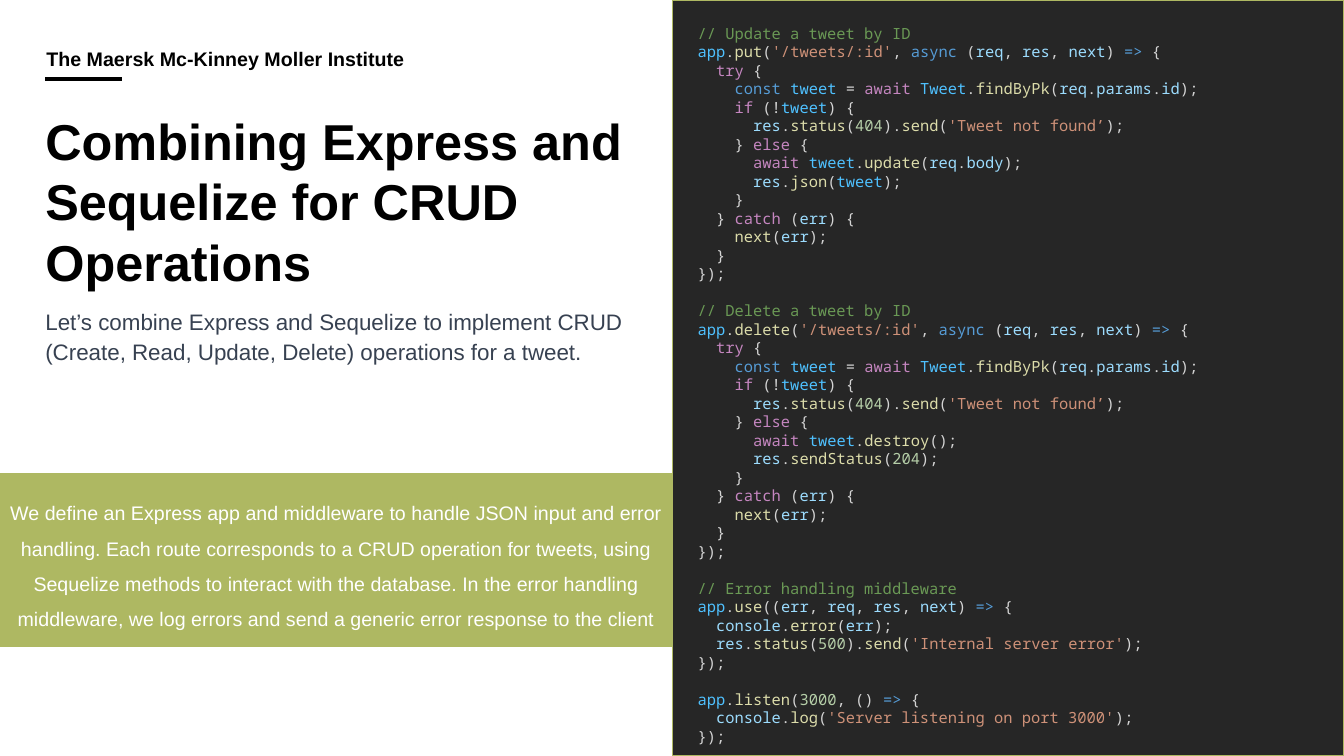
from itertools import groupby

from lxml.etree import SubElement
from pptx import Presentation
from pptx.dml.color import RGBColor
from pptx.enum.shapes import MSO_CONNECTOR, MSO_SHAPE
from pptx.enum.text import MSO_ANCHOR, PP_ALIGN
from pptx.oxml.ns import qn
from pptx.util import Inches, Pt

BLACK, WHITE, SLATE = "000000", "FFFFFF", "374151"
OLIVE, CHARCOAL = "AEB862", "262626"
SANS, MONO = "Arial", "Noto Sans Mono"
LEADING = 1.2

COMMENT, STRING, NUMBER, PLAIN = "6A9955", "CE9178", "B5CEA8", "D4D4D4"
CALL, VARIABLE = "DCDCAA", "9CDCFE"
WORD_COLOURS = {
    **dict.fromkeys(["async", "const", "=>"], "569CD6"),
    **dict.fromkeys(["try", "if", "else", "await", "catch"], "C586C0"),
    **dict.fromkeys(["app", "tweet", "Tweet"], "4FC1FF"),
}


def route_code(comment, verb, actions):
    return [
        f"// {comment}",
        f"app.{verb}('/tweets/:id', async (req, res, next) => {{",
        "  try {",
        "    const tweet = await Tweet.findByPk(req.params.id);",
        "    if (!tweet) {",
        "      res.status(404).send('Tweet not found’);",
        "    } else {",
        *[f"      {action}" for action in actions],
        "    }",
        "  } catch (err) {",
        "    next(err);",
        "  }",
        "});",
    ]


CODE_SECTIONS = [
    route_code("Update a tweet by ID", "put",
               ["await tweet.update(req.body);", "res.json(tweet);"]),
    route_code("Delete a tweet by ID", "delete",
               ["await tweet.destroy();", "res.sendStatus(204);"]),
    [
        "// Error handling middleware",
        "app.use((err, req, res, next) => {",
        "  console.error(err);",
        "  res.status(500).send('Internal server error');",
        "});",
    ],
    [
        "app.listen(3000, () => {",
        "  console.log('Server listening on port 3000');",
        "});",
    ],
]


def colour(hex_code):
    return RGBColor.from_string(hex_code)


def apply_format(target, **values):
    for name, value in values.items():
        setattr(target, name, value)


def add_run(paragraph, text, hex_code, **font_values):
    run = paragraph.add_run()
    run.text = text
    apply_format(run.font, **font_values)
    run.font.color.rgb = colour(hex_code)


def add_box(slide, left, top, width, height, margins=(0, 0, 0, 0), **frame_values):
    """Add a wrapping text box and return its frame; margins run left, top, right, bottom."""
    frame = slide.shapes.add_textbox(
        Inches(left), Inches(top), Inches(width), Inches(height)).text_frame
    set_frame(frame, margins, **frame_values)
    return frame


def set_frame(frame, margins, **frame_values):
    sides = ("margin_left", "margin_top", "margin_right", "margin_bottom")
    apply_format(frame, word_wrap=True, **dict(zip(sides, map(Inches, margins))),
                 **frame_values)


def add_panel(slide, left, top, width, height, fill):
    panel = slide.shapes.add_shape(
        MSO_SHAPE.RECTANGLE, Inches(left), Inches(top), Inches(width), Inches(height))
    panel.shadow.inherit = False
    panel.fill.solid()
    panel.fill.fore_color.rgb = colour(fill)
    panel.line.color.rgb = colour(OLIVE)
    panel.line.width = Pt(1)
    return panel


def word_colour(word, following):
    if word.isdigit():
        return NUMBER
    if word in WORD_COLOURS:
        return WORD_COLOURS[word]
    if not word.isalnum():
        return PLAIN
    return CALL if following.startswith("(") else VARIABLE


def colour_words(code):
    """Yield (text, colour) for code that holds no string literal."""
    tokens = ["".join(group) for _, group in
              groupby(code, key=lambda c: "=" if c in "=>" else c.isalnum())]
    for token, following in zip(tokens, tokens[1:] + [""]):
        yield token, word_colour(token, following)


def highlight(line):
    """Return the (text, colour) runs of one line of code."""
    if line.startswith("//"):
        return [(line, COMMENT)]
    start = line.find("'")
    if start < 0:
        pieces = list(colour_words(line))
    else:
        end = max(line.rfind("'"), line.rfind("’")) + 1
        pieces = [*colour_words(line[:start]), (line[start:end], STRING),
                  *colour_words(line[end:])]
    return [("".join(text for text, _ in group), hex_code)
            for hex_code, group in groupby(pieces, key=lambda piece: piece[1])]


def build_header(slide, left, top, width):
    frame = add_box(slide, left, top, width, 0.31, (0.01, 0, 0, 0.1),
                    vertical_anchor=MSO_ANCHOR.BOTTOM)
    institute = frame.paragraphs[0]
    institute.line_spacing = 0.9
    add_run(institute, "The Maersk Mc-Kinney Moller Institute", BLACK,
            name=SANS, size=Pt(14), bold=True)

    rule_y = Inches(top + 0.29)
    rule = slide.shapes.add_connector(
        MSO_CONNECTOR.STRAIGHT, Inches(left), rule_y, Inches(left + 0.76), rule_y)
    rule.line.color.rgb = colour(BLACK)
    rule.line.width = Pt(3)
    SubElement(rule._element.spPr, qn("a:effectLst"))


def build_introduction(slide, left, top, width):
    title = add_box(slide, left, top, width, 1.8).paragraphs[0]
    title.line_spacing = Pt(36 * LEADING)
    add_run(title, "Combining Express and Sequelize for CRUD Operations", BLACK,
            name=SANS, size=Pt(36), bold=True)

    summary = add_box(slide, left, top + 1.94, width - 0.16, 0.8).paragraphs[0]
    summary.line_spacing = Pt(16 * LEADING * 1.1)
    add_run(summary, "Let’s combine Express and Sequelize to implement CRUD "
            "(Create, Read, Update, Delete) operations for a tweet.", SLATE,
            name=SANS, size=Pt(16))


def build_explanation(slide, left, top, width, height):
    band = add_panel(slide, left, top, width, height, OLIVE)
    set_frame(band.text_frame, (0.08,) * 4, vertical_anchor=MSO_ANCHOR.MIDDLE)
    explanation = band.text_frame.paragraphs[0]
    apply_format(explanation, alignment=PP_ALIGN.CENTER,
                 line_spacing=Pt(14 * LEADING * 1.5))
    add_run(explanation, "We define an Express app and middleware to handle JSON input "
            "and error handling. Each route corresponds to a CRUD operation for tweets, "
            "using Sequelize methods to interact with the database. In the error handling "
            "middleware, we log errors and send a generic error response to the client",
            WHITE, name=SANS, size=Pt(14))


def build_code_panel(slide, left, top, width, height):
    add_panel(slide, left, top, width, height, CHARCOAL)
    frame = add_box(slide, left + 0.15, top + 0.19, width - 0.16, height - 0.2,
                    (0.1, 0.05, 0.1, 0.05))
    line_height = Pt(11 * LEADING)
    for section_index, section in enumerate(CODE_SECTIONS):
        for line_index, line in enumerate(section):
            first = section_index == line_index == 0
            paragraph = frame.paragraphs[0] if first else frame.add_paragraph()
            paragraph.line_spacing = line_height
            if line_index == 0 and not first:
                paragraph.space_before = line_height
            for text, hex_code in highlight(line):
                add_run(paragraph, text, hex_code, name=MONO, size=Pt(11))


def main():
    presentation = Presentation()
    presentation.slide_width, presentation.slide_height = Inches(13.33), Inches(7.5)
    slide = presentation.slides.add_slide(presentation.slide_layouts[6])
    build_header(slide, 0.45, 0.49, 6.22)
    build_code_panel(slide, 6.67, 0, 6.66, 7.5)
    build_introduction(slide, 0.45, 1.09, 6)
    build_explanation(slide, 0, 4.7, 6.67, 1.71)
    presentation.save("out.pptx")


if __name__ == "__main__":
    main()
